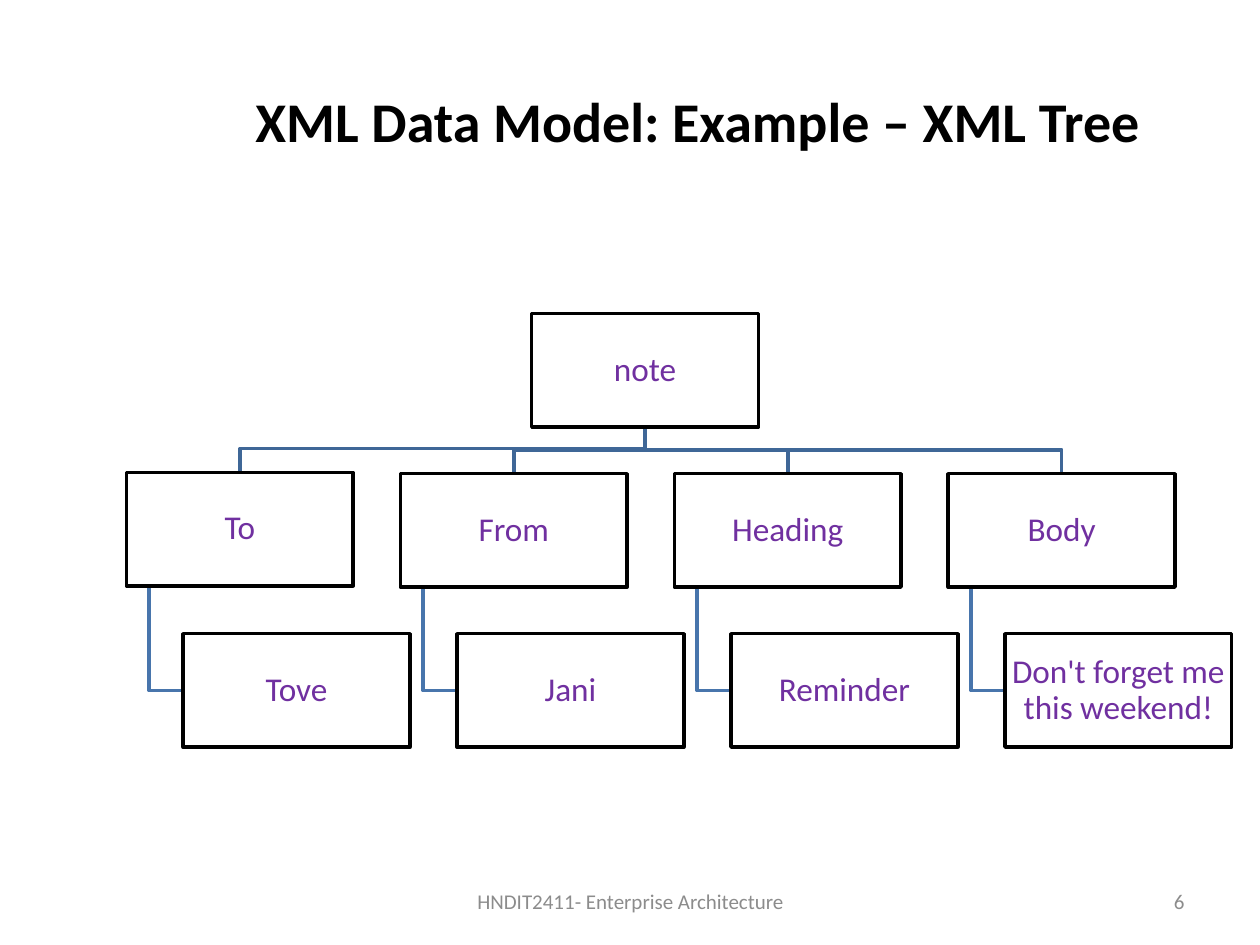
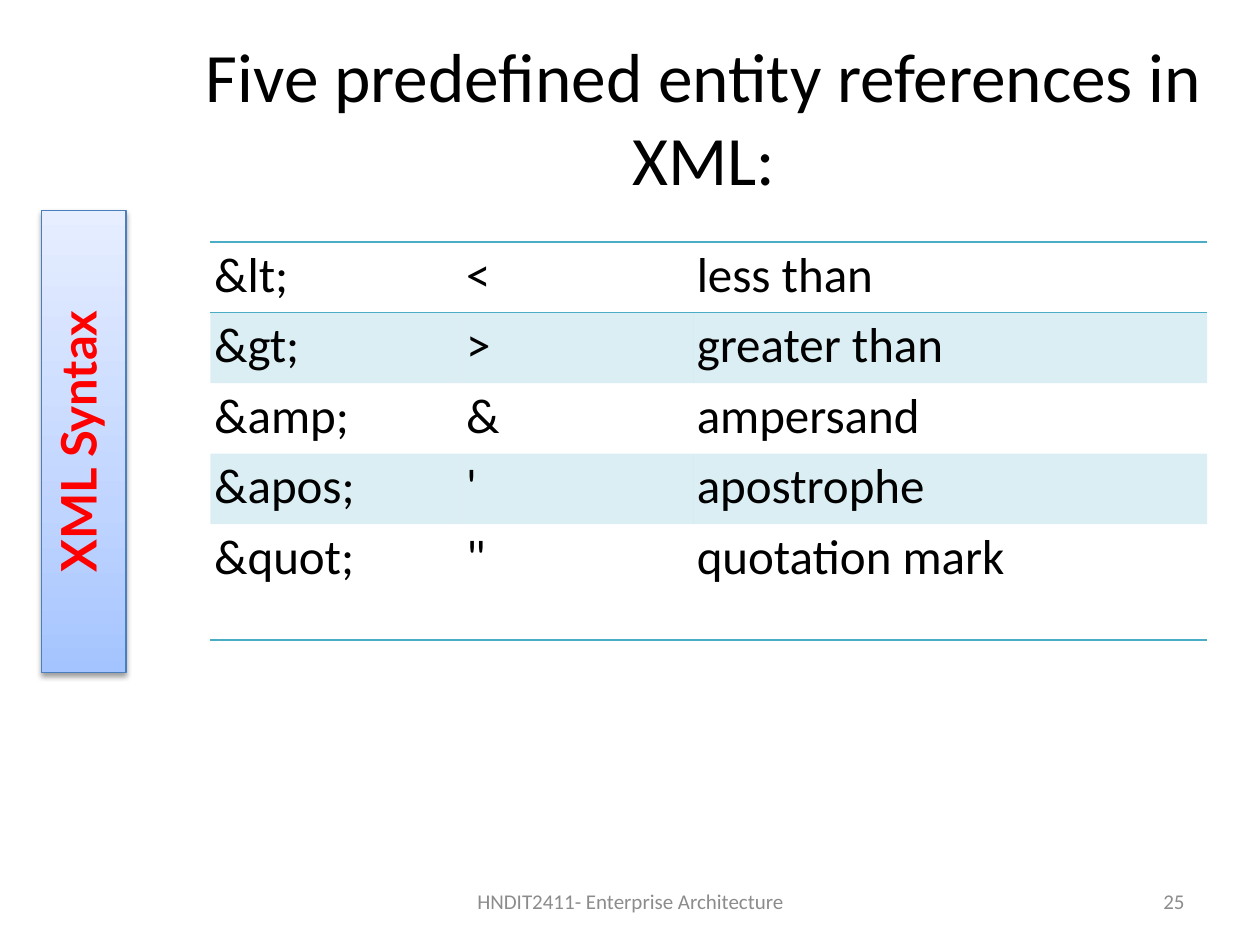
import dataclasses
import typing

import lxml.etree
import pptx
import pptx.dml.color
import pptx.enum.shapes
import pptx.enum.text
import pptx.oxml.ns
import pptx.presentation
import pptx.shapes.autoshape
import pptx.slide
import pptx.table
import pptx.text.text
import pptx.util

RGB = pptx.dml.color.RGBColor
ALIGN = pptx.enum.text.PP_ALIGN
ANCHOR = pptx.enum.text.MSO_ANCHOR
RECTANGLE = pptx.enum.shapes.MSO_SHAPE.RECTANGLE
qn = pptx.oxml.ns.qn

BLACK = RGB(0x00, 0x00, 0x00)
FOOTER_GREY = RGB(0x8C, 0x8C, 0x8C)
NODE_PURPLE = RGB(0x70, 0x30, 0xA0)
TRUNK_BLUE = RGB(0x3F, 0x67, 0x97)
LEAF_BLUE = RGB(0x48, 0x75, 0xAC)
TABLE_TEAL = RGB(0x4B, 0xAC, 0xC6)
TAB_RED = RGB(0xFF, 0x00, 0x00)
TAB_EDGE = RGB(0x4B, 0x7E, 0xBC)
TAB_GRADIENT = {
    0: RGB(0xA4, 0xC4, 0xFF),
    35: RGB(0xBF, 0xD4, 0xFF),
    100: RGB(0xE6, 0xEE, 0xFF),
}

SLIDE_WIDTH = pptx.util.Inches(10)
SLIDE_HEIGHT = pptx.util.Inches(7.5)
COLUMNS, ROWS = 100, 75
FONT = "Calibri"
TAB_FONT = "Lato"
FOOTER = "HNDIT2411- Enterprise Architecture"
PLAIN_TABLE_STYLE = "{2D5ABB26-0587-4C30-8999-92F81FD0307C}"

NODE_WIDTH, NODE_HEIGHT = 18, 9
BRANCH_LEFT, BRANCH_TOP, BRANCH_PITCH = 10.04, 37.6, 21.74
LEAF_TOP, LEAF_INDENT = 50.3, 4.5
TRUNK_RISE, LEAF_STEM = 1.9, 1.8

Point = tuple[float, float]


@dataclasses.dataclass(frozen=True)
class Area:
    column: float
    row: float
    width: float
    height: float

    @property
    def middle(self) -> float:
        return self.column + self.width / 2

    @property
    def bottom(self) -> float:
        return self.row + self.height

    def place(self) -> tuple[int, int, int, int]:
        return across(self.column), down(self.row), across(self.width), down(self.height)


@dataclasses.dataclass(frozen=True)
class Branch:
    element: str
    content: str
    lift: float = 0


@dataclasses.dataclass(frozen=True)
class Entity:
    reference: str
    character: str
    meaning: str


ROOT_AREA = Area(42.2, 24.9, NODE_WIDTH, NODE_HEIGHT)
BRANCHES = (
    Branch("To", "Tove", lift=0.1),
    Branch("From", "Jani"),
    Branch("Heading", "Reminder"),
    Branch("Body", "Don't forget me this weekend!"),
)
ENTITIES = (
    Entity("&lt;", "<", "less than"),
    Entity("&gt;", ">", "greater than"),
    Entity("&amp;", "&", "ampersand"),
    Entity("&apos;", "'", "apostrophe"),
    Entity("&quot;", '"', "quotation mark"),
)
ENTITY_COLUMNS = (20, 18.3, 40.8)
ENTITY_ROWS = (5.6, 5.6, 5.6, 5.6, 9.2)


def across(columns: float) -> int:
    return pptx.util.Emu(round(SLIDE_WIDTH * columns / COLUMNS))


def down(rows: float) -> int:
    return pptx.util.Emu(round(SLIDE_HEIGHT * rows / ROWS))


def write(
    frame: pptx.text.text.TextFrame,
    text: str,
    *,
    size: float,
    color: RGB = BLACK,
    font: str = FONT,
    bold: bool = False,
    align: typing.Any = ALIGN.CENTER,
    anchor: typing.Any = ANCHOR.MIDDLE,
    spacing: float = 1.0,
    inset: float | None = None,
) -> None:
    frame.word_wrap = True
    frame.vertical_anchor = anchor
    if inset is not None:
        frame.margin_left = frame.margin_right = across(inset)
        frame.margin_top = frame.margin_bottom = down(inset)
    paragraph = frame.paragraphs[0]
    paragraph.alignment = align
    paragraph.line_spacing = spacing
    run = paragraph.add_run()
    run.text = text
    run.font.name = font
    run.font.size = pptx.util.Pt(size)
    run.font.bold = bold
    run.font.color.rgb = color


def add_label(slide: pptx.slide.Slide, area: Area, text: str, **style: typing.Any) -> None:
    write(slide.shapes.add_textbox(*area.place()).text_frame, text, **style)


def start_slide(
    deck: pptx.presentation.Presentation, title: str, title_area: Area, number: int, **title_style: typing.Any
) -> pptx.slide.Slide:
    slide = deck.slides.add_slide(deck.slide_layouts[6])
    add_label(slide, title_area, title, **title_style)
    add_label(slide, Area(34.2, 69.5, 31.7, 4), FOOTER, size=12, color=FOOTER_GREY)
    add_label(slide, Area(71.7, 69.5, 23.3, 4), str(number), size=12, color=FOOTER_GREY, align=ALIGN.RIGHT)
    return slide


def outline(shape: pptx.shapes.autoshape.Shape, color: RGB, width: float) -> None:
    shape.shadow.inherit = False
    shape.line.color.rgb = color
    shape.line.width = pptx.util.Pt(width)


def add_node(slide: pptx.slide.Slide, area: Area, text: str) -> None:
    node = slide.shapes.add_shape(RECTANGLE, *area.place())
    node.fill.background()
    outline(node, BLACK, 2)
    write(node.text_frame, text, size=19, color=NODE_PURPLE, spacing=0.9, inset=0.1)


def add_link(slide: pptx.slide.Slide, points: list[Point], color: RGB) -> None:
    start, *bends = [(across(column), down(row)) for column, row in points]
    builder = slide.shapes.build_freeform(*start)
    builder.add_line_segments(bends, close=False)
    link = builder.convert_to_shape()
    link.fill.background()
    outline(link, color, 2)


def add_branch(slide: pptx.slide.Slide, index: int, branch: Branch) -> None:
    left = BRANCH_LEFT + index * BRANCH_PITCH
    element = Area(left, BRANCH_TOP - branch.lift, NODE_WIDTH, NODE_HEIGHT)
    content = Area(left + LEAF_INDENT, LEAF_TOP, NODE_WIDTH, NODE_HEIGHT)
    fork = element.row - TRUNK_RISE
    stem = left + LEAF_STEM
    leaf_middle = content.row + content.height / 2
    add_link(
        slide,
        [
            (ROOT_AREA.middle, ROOT_AREA.bottom),
            (ROOT_AREA.middle, fork),
            (element.middle, fork),
            (element.middle, element.row),
        ],
        TRUNK_BLUE,
    )
    add_link(slide, [(stem, element.bottom), (stem, leaf_middle), (content.column, leaf_middle)], LEAF_BLUE)
    add_node(slide, element, branch.element)
    add_node(slide, content, branch.content)


def add_xml_color(parent: typing.Any, color: RGB, opacity: int = 100) -> None:
    value = lxml.etree.SubElement(parent, qn("a:srgbClr"), val=str(color))
    lxml.etree.SubElement(value, qn("a:alpha"), val=str(opacity * 1000))


def add_border(cell: typing.Any, side: str) -> None:
    properties = cell._tc.get_or_add_tcPr()
    border = lxml.etree.SubElement(properties, qn(f"a:ln{side}"), w=str(pptx.util.Pt(1)))
    add_xml_color(lxml.etree.SubElement(border, qn("a:solidFill")), TABLE_TEAL)


def add_entity_table(slide: pptx.slide.Slide) -> None:
    area = Area(16.7, 19.2, sum(ENTITY_COLUMNS), sum(ENTITY_ROWS))
    frame = slide.shapes.add_table(len(ENTITIES), len(ENTITY_COLUMNS), *area.place())
    table = frame.table
    table.first_row = table.horz_banding = False
    table._tbl.tblPr.find(qn("a:tableStyleId")).text = PLAIN_TABLE_STYLE
    for column, width in zip(table.columns, ENTITY_COLUMNS):
        column.width = across(width)
    for index, (row, height, entity) in enumerate(zip(table.rows, ENTITY_ROWS, ENTITIES)):
        row.height = down(height)
        sides = {0: "TB", len(ENTITIES) - 1: "B"}.get(index, "")
        for cell, text in zip(row.cells, dataclasses.astuple(entity)):
            cell.margin_left = cell.margin_right = across(0.3)
            cell.margin_top = cell.margin_bottom = down(0.3)
            write(cell.text_frame, text, size=28, align=ALIGN.LEFT, anchor=ANCHOR.TOP)
            for side in sides:
                add_border(cell, side)
            if index % 2:
                cell.fill.solid()
                band = cell._tc.tcPr.find(qn("a:solidFill"))
                add_xml_color(band, TABLE_TEAL, opacity=20)
            else:
                cell.fill.background()


def add_section_tab(slide: pptx.slide.Slide, text: str) -> None:
    tab = slide.shapes.add_shape(RECTANGLE, *Area(3.3, 16.7, 6.7, 36.7).place())
    outline(tab, TAB_EDGE, 0.75)
    tab.fill.gradient()
    tab.fill.gradient_angle = 90
    properties = tab.element.spPr
    stops = properties.find(f".//{qn('a:gsLst')}")
    stops.clear()
    for position, color in TAB_GRADIENT.items():
        add_xml_color(lxml.etree.SubElement(stops, qn("a:gs"), pos=str(position * 1000)), color)
    shadow = lxml.etree.SubElement(
        properties.find(qn("a:effectLst")),
        qn("a:outerShdw"),
        blurRad=str(pptx.util.Pt(3.1)),
        dist=str(pptx.util.Pt(1.6)),
        dir="5400000",
        rotWithShape="0",
    )
    add_xml_color(shadow, BLACK, opacity=38)
    write(tab.text_frame, text, size=28, color=TAB_RED, font=TAB_FONT, bold=True, anchor=ANCHOR.TOP)
    tab.text_frame._txBody.bodyPr.set("vert", "vert270")


def build_tree_slide(deck: pptx.presentation.Presentation) -> None:
    title = "XML Data Model: Example – XML Tree"
    slide = start_slide(deck, title, Area(10.8, 3.3, 89.2, 12.5), 6, size=32, bold=True)
    for index, branch in enumerate(BRANCHES):
        add_branch(slide, index, branch)
    add_node(slide, ROOT_AREA, "note")


def build_entity_slide(deck: pptx.presentation.Presentation) -> None:
    title = "Five predefined entity references in XML:"
    slide = start_slide(deck, title, Area(11.7, 3, 88.3, 12.5), 25, size=39.6)
    add_entity_table(slide)
    add_section_tab(slide, "XML Syntax")


def main() -> None:
    deck = pptx.Presentation()
    deck.slide_width = SLIDE_WIDTH
    deck.slide_height = SLIDE_HEIGHT
    build_tree_slide(deck)
    build_entity_slide(deck)
    deck.save("out.pptx")


if __name__ == "__main__":
    main()
